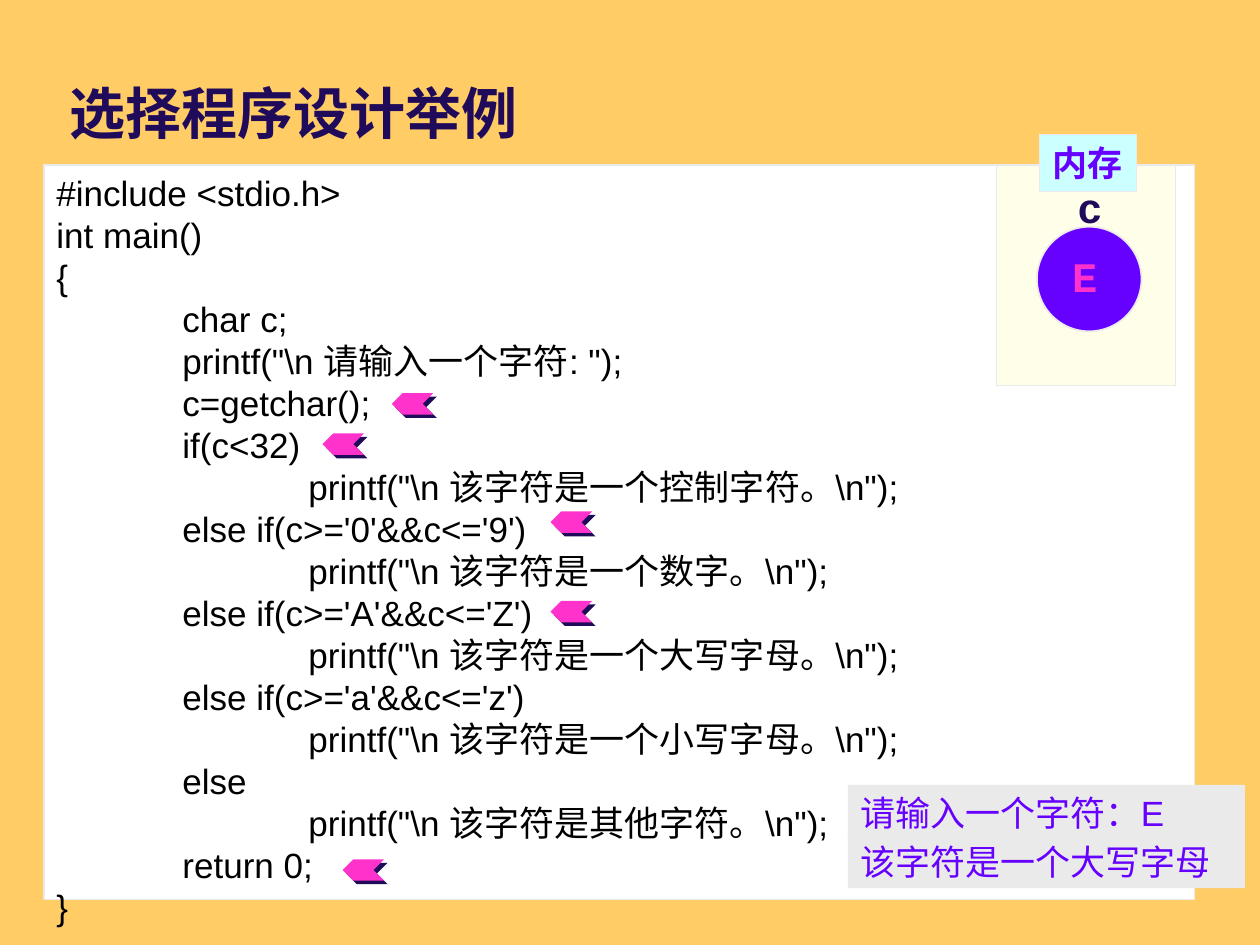
from itertools import groupby
from lxml import etree
from pptx import Presentation
from pptx.dml.color import RGBColor
from pptx.enum import shapes, text
from pptx.oxml import ns
from pptx.util import Inches, Pt

AMBER = RGBColor(0xFF, 0xCC, 0x66)
NAVY = RGBColor(0x20, 0x0B, 0x5B)
WHITE = RGBColor(0xFF, 0xFF, 0xFF)
BLACK = RGBColor(0, 0, 0)
GREY = RGBColor(0xEA, 0xEA, 0xEA)
CREAM = RGBColor(0xFF, 0xFF, 0xE9)
CYAN = RGBColor(0xCC, 0xFF, 0xFF)
VIOLET = RGBColor(0x66, 0x00, 0xFF)
PINK = RGBColor(0xFF, 0x33, 0xCC)

CODE = r"""#include <stdio.h>
int main()
{
>char c;
>printf("\n 请输入一个字符: ");
>c=getchar();
>if(c<32)
>>printf("\n 该字符是一个控制字符。\n");
>else if(c>='0'&&c<='9')
>>printf("\n 该字符是一个数字。\n");
>else if(c>='A'&&c<='Z')
>>printf("\n 该字符是一个大写字母。\n");
>else if(c>='a'&&c<='z')
>>printf("\n 该字符是一个小写字母。\n");
>else
>>printf("\n 该字符是其他字符。\n");
>return 0;
}"""
MARKERS = [(3.11, 3.12), (2.56, 3.44), (4.37, 4.06), (4.37, 4.77), (2.72, 6.82)]
OUTPUT = ["请输入一个字符：E", "该字符是一个大写字母"]


def add_box(s, kind, at, fill, line=None, width=0.75):
    sp = s.shapes.add_shape(kind, *map(Inches, at))
    sp.shadow.inherit = False
    sp.fill.solid()
    sp.fill.fore_color.rgb = fill
    if line is None:
        sp.line.fill.background()
    else:
        sp.line.color.rgb = line
        sp.line.width = Pt(width)
    return sp


def style(r, size, font, color, bold=False):
    r.font.size = Pt(size)
    r.font.name = font
    r.font.color.rgb = color
    r.font.bold = bold


def set_text(sp, words, size, font, color, bold=False, center=False,
             anchor=text.MSO_ANCHOR.TOP, grow=False):
    tf = sp.text_frame
    tf.text = words
    tf.word_wrap = not center
    tf.vertical_anchor = anchor
    if grow:
        tf.auto_size = text.MSO_AUTO_SIZE.SHAPE_TO_FIT_TEXT
    p = tf.paragraphs[0]
    p.alignment = text.PP_ALIGN.CENTER if center else text.PP_ALIGN.LEFT
    style(p.runs[0], size, font, color, bold)


def add_label(s, at, words, size, font, color, **options):
    sp = s.shapes.add_textbox(*map(Inches, at))
    set_text(sp, words, size, font, color, bold=True, **options)


def set_tabs(p, stops):
    tabs = etree.SubElement(p._p.get_or_add_pPr(), ns.qn("a:tabLst"))
    for stop in stops:
        etree.SubElement(tabs, ns.qn("a:tab"), pos=str(Inches(stop)), algn="l")


def add_code(s):
    sp = add_box(s, shapes.MSO_SHAPE.RECTANGLE, (0.35, 1.31, 9.13, 5.83), WHITE, GREY)
    tf = sp.text_frame
    tf.word_wrap = True
    tf.vertical_anchor = text.MSO_ANCHOR.TOP
    for i, line in enumerate(CODE.split("\n")):
        p = tf.add_paragraph() if i else tf.paragraphs[0]
        p.alignment = text.PP_ALIGN.LEFT
        p.line_spacing = Pt(24)
        set_tabs(p, (1, 2))
        body = line.lstrip(">")
        tabbed = "\t" * (len(line) - len(body)) + body
        for chinese, chars in groupby(tabbed, lambda ch: ord(ch) > 0x2E80):
            r = p.add_run()
            r.text = "".join(chars)
            style(r, 20, "Courier New" if chinese else "Arial", BLACK)


def add_memory(s):
    add_box(s, shapes.MSO_SHAPE.RECTANGLE, (7.91, 1.31, 1.42, 1.75), CREAM, GREY)
    sp = add_box(s, shapes.MSO_SHAPE.RECTANGLE, (8.25, 1.07, 0.77, 0.45), CYAN, GREY)
    set_text(sp, "内存", 20, "Courier New", VIOLET, bold=True, center=True, grow=True)
    add_box(s, shapes.MSO_SHAPE.OVAL, (8.23, 1.8, 0.83, 0.83), VIOLET, GREY, 1)
    add_label(s, (8.45, 1.39, 0.4, 0.5), "c", 24, "Courier New", NAVY,
              center=True, grow=True)
    add_label(s, (8.41, 1.94, 0.4, 0.5), "E", 24, "Courier New", PINK,
              center=True, grow=True)


def add_marker(s, left, top):
    sp = add_box(s, shapes.MSO_SHAPE.CHEVRON, (left, top, 0.33, 0.17), PINK)
    spPr = sp._element.spPr
    spPr.find(ns.qn("a:xfrm")).set("flipH", "1")
    shadow = etree.SubElement(spPr.find(ns.qn("a:effectLst")), ns.qn("a:outerShdw"),
                              dist=str(Pt(2.8)), dir=str(45 * 60000),
                              algn="ctr", rotWithShape="0")
    etree.SubElement(shadow, ns.qn("a:srgbClr"), val=str(NAVY))


def add_output(s):
    for i, words in enumerate(OUTPUT):
        sp = add_box(s, shapes.MSO_SHAPE.RECTANGLE,
                     (6.73, 6.23 + 0.39 * i, 3.15, 0.43), GREY)
        set_text(sp, words, 20, "Arial", VIOLET, grow=True)


def main():
    prs = Presentation()
    prs.slide_width, prs.slide_height = Inches(10), Inches(7.5)
    s = prs.slides.add_slide(prs.slide_layouts[6])
    s.background.fill.solid()
    s.background.fill.fore_color.rgb = AMBER
    add_label(s, (0.45, 0.53, 9, 0.72), "选择程序设计举例", 32, "Noto Sans CJK SC", NAVY,
              anchor=text.MSO_ANCHOR.MIDDLE)
    add_code(s)
    add_memory(s)
    add_output(s)
    for left, top in MARKERS:
        add_marker(s, left, top)
    prs.save("out.pptx")


if __name__ == "__main__":
    main()
